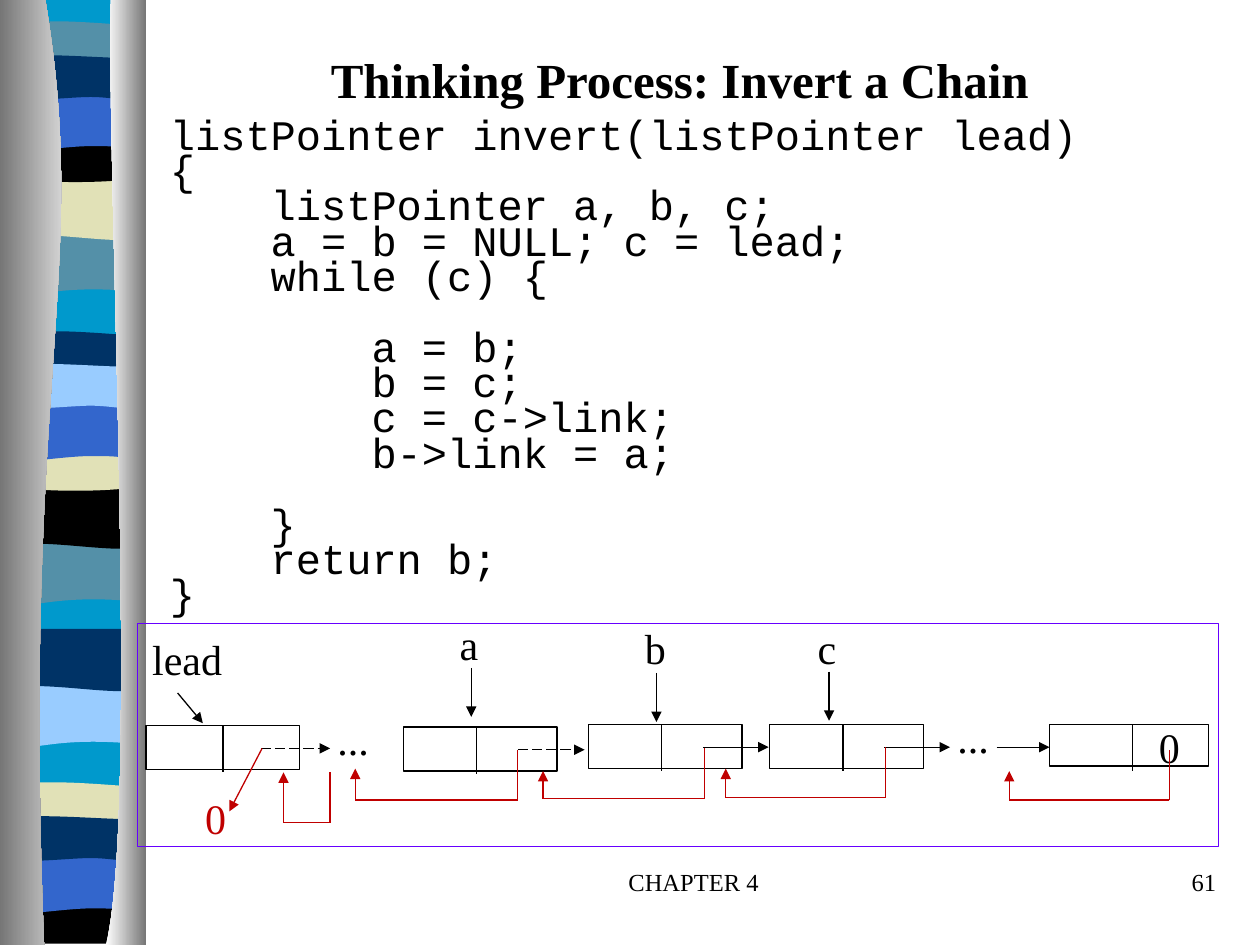
from pptx import Presentation
from pptx.dml.color import RGBColor as RGB
from pptx.enum.dml import MSO_LINE_DASH_STYLE as DASH
from pptx.enum.shapes import MSO_CONNECTOR as CONN, MSO_SHAPE as SHAPE
from pptx.enum.text import MSO_ANCHOR as ANCHOR, MSO_AUTO_SIZE as AUTO, PP_ALIGN as ALIGN
from pptx.oxml.ns import qn
from pptx.util import Inches, Pt
from lxml.etree import SubElement

W, H = 10, 7.5
L, R = 0.05, 1.14
BLACK, RED, GRAY, WHITE = "000000", "C00000", "767676", "FFFFFF"
SERIF, MONO = "Times New Roman", "Courier New"
SKY, TEAL, NAVY, BLUE, SAND, PALE = "0099CC", "5490A8", "003366", "3366CC", "E1E1B7", "99CCFF"
WAVES = {
    "swell": [[(R, 0)], [(R, 0.47)], [(0.39, 0.39), (0.24, 0.55), (L, 0.47)], [(L, 0)]],
    "slope": [[(R, 0)], [(R, 0.47)], [(0.96, 0.55), (0.39, 0.41), (L, 0.47)], [(L, 0)]],
    "lens": [[(R, 0.05)], [(R, 0.29)], [(0.96, 0.33), (0.24, 0.33), (L, 0.29)], [(L, 0.05)],
             [(0.12, 0), (0.29, 0.01), (0.47, 0.01)], [(0.65, 0.01), (1, 0.04), (R, 0.05)]],
    "bowl": [[(R, 0)], [(R, 0.32)], [(0.96, 0.38), (0.24, 0.38), (L, 0.32)], [(L, 0)],
             [(0.72, 0.05), (0.91, 0), (R, 0)]],
    "arch": [[(R, 0)], [(R, 0.47)], [(0.97, 0.42), (0.9, 0.42), (0.72, 0.42)],
             [(0.54, 0.42), (0.22, 0.47), (L, 0.47)], [(L, 0)]],
    "ripple": [[(R, 0.05)], [(R, 0.36)], [(1.07, 0.41), (0.9, 0.36), (0.72, 0.36)],
               [(0.54, 0.36), (0.17, 0.41), (L, 0.36)], [(L, 0.05)],
               [(0.21, 0), (0.79, 0.05), (0.97, 0.05)]],
    "base": [[(R, 0)], [(R, 7.47)], [(L, 7.47)], [(L, 0)]],
    "foot": [[(R, 0)], [(R, 0.37)], [(L, 0.37)], [(L, 0)], [(0.71, 0.05), (0.9, 0), (R, 0)]],
}
BANDS = [
    ("base", 0, SKY), ("swell", 1.85, TEAL), ("slope", 1.41, SAND), ("lens", 0.16, TEAL),
    ("bowl", 1.08, BLACK), ("arch", 0.74, BLUE), ("ripple", 0.41, NAVY), ("swell", 4.31, TEAL),
    ("slope", 3.86, BLACK), ("lens", 2.62, NAVY), ("bowl", 3.53, SAND), ("arch", 3.2, BLUE),
    ("ripple", 2.86, PALE), ("swell", 5.44, PALE), ("slope", 4.99 - 0.09, NAVY), ("lens", 6.2, SAND),
    ("foot", 7.12, BLACK), ("arch", 6.79, BLUE), ("ripple", 6.45, NAVY),
]
BANDS[14] = ("slope", 4.99, NAVY)
CODE = [
    (0, "listPointer invert(listPointer lead)", 0), (0, "{", 0),
    (1, "listPointer a, b, c;", 0), (1, "a = b = NULL; c = lead;", 0),
    (1, "while (c) {", 0), (2, "a = b;", 1), (2, "b = c;", 0),
    (2, "c = c->link;", 0), (2, "b->link = a;", 0), (1, "}", 1),
    (1, "return b;", 0), (0, "}", 0),
]


def color(value):
    """Turn a hex string into a colour."""
    return RGB.from_string(value)


def outline(slide, parts, dy=0):
    """Draw a closed outline whose three-point parts are curves."""
    points = [(Inches(x), Inches(y + dy)) for part in parts for x, y in part]
    fb = slide.shapes.build_freeform(*points[0])
    fb.add_line_segments(points[1:], close=True)
    sp = fb.convert_to_shape()
    steps = list(sp._element.iter(qn("a:lnTo")))
    for part in parts[1:]:
        group, steps = steps[:len(part)], steps[len(part):]
        if len(part) == 3:
            group[0].addprevious(curve := group[0].makeelement(qn("a:cubicBezTo")))
            for step in group:
                curve.append(step[0])
                step.getparent().remove(step)
    sp.shadow.inherit = False
    sp.line.fill.background()
    return sp


def band(slide, wave, y, fill):
    """Draw one ribbon band."""
    sp = outline(slide, WAVES[wave], y)
    sp.fill.solid()
    sp.fill.fore_color.rgb = color(fill)


def panel(slide, start, bend, side, shades):
    """Draw a shaded panel between a curve and a straight side."""
    sp = outline(slide, [[(start, 0)], bend, [(side, H)], [(side, 0)]])
    sp.fill.gradient()
    sp.fill.gradient_angle = 0
    for stop, value in zip(sp.fill.gradient_stops, shades):
        stop.color.rgb = color(value)


def text(slide, box, lines, fmt=None, para=None, wrap=True, anchor=ANCHOR.TOP):
    """Write (level, words, gap) lines in a text box."""
    tf = slide.shapes.add_textbox(*map(Inches, box)).text_frame
    tf.word_wrap, tf.vertical_anchor = wrap, anchor
    if not wrap:
        tf.auto_size = AUTO.SHAPE_TO_FIT_TEXT
    font = {"name": SERIF, "size": Pt(24), **(fmt or {})}
    rgb = font.pop("rgb", BLACK)
    for i, (level, words, gap) in enumerate(lines):
        p = tf.add_paragraph() if i else tf.paragraphs[0]
        for key, value in (para or {}).items():
            setattr(p, key, value)
        if level:
            p._p.get_or_add_pPr().set("marL", str(Inches(0.8 * level)))
        if gap:
            p.space_before = Pt(20.4 * gap)
        r = p.add_run()
        r.text = words
        r.font.color.rgb = color(rgb)
        for key, value in font.items():
            setattr(r.font, key, value)


def label(slide, x, y, w, words, rgb=BLACK):
    """Write a short diagram label."""
    text(slide, (x, y, w, 0.5), [(0, words, 0)], {"rgb": rgb}, wrap=False)


def line(slide, start, end, rgb=BLACK, arrow=False, dash=None):
    """Draw a thin straight line or arrow."""
    cn = slide.shapes.add_connector(CONN.STRAIGHT, *map(Inches, start + end))
    cn.line.color.rgb, cn.line.width = color(rgb), Pt(0.75)
    if dash:
        cn.line.dash_style = dash
    if arrow:
        SubElement(cn.line._get_or_add_ln(), qn("a:tailEnd"), type="triangle")
    SubElement(cn._element.spPr, qn("a:effectLst"))


def frame(slide, box, rgb=BLACK):
    """Draw an unfilled rectangle."""
    sp = slide.shapes.add_shape(SHAPE.RECTANGLE, *map(Inches, box))
    sp.shadow.inherit = False
    sp.fill.background()
    sp.line.color.rgb, sp.line.width = color(rgb), Pt(0.75)


def node(slide, x, y, w=1.22, h=0.35, split=0.58):
    """Draw a list node with data and link fields."""
    frame(slide, (x, y, w, h))
    line(slide, (x + split, y), (x + split, y + 0.37))


def back_link(slide, right, left, start, base, tip):
    """Draw a reversed link as a three-part red arrow."""
    line(slide, (left, base), (left, tip), RED, True)
    line(slide, (right, base), (left, base), RED)
    line(slide, (right, base), (right, start), RED)


def ribbon(slide):
    """Draw the side decoration."""
    for values in BANDS:
        band(slide, *values)
    panel(slide, 0.36, [(0.72, 2.16), (0.17, 2.96), (0.35, H)], 0, (GRAY, WHITE))
    panel(slide, 0.88, [(0.84, 1.25), (1.11, 6.46), (0.84, H)], 1.16, (WHITE, GRAY))


def diagram(slide):
    """Draw the chain with its pointers and reversed links."""
    frame(slide, (1.09, 4.95, 8.58, 1.77), "6600FF")
    node(slide, 1.16, 5.76, split=0.61)
    for x, y in ((3.2, 5.77), (4.67, 5.75), (6.11, 5.75)):
        node(slide, x, y)
    node(slide, 8.33, 5.75, w=1.26, h=0.33, split=0.66)
    for values in ((1.11, 4.98, 0.76, "lead"), (3.55, 4.86, 0.35, "a"), (5.02, 4.89, 0.37, "b"),
                   (6.39, 4.89, 0.35, "c"), (2.58, 5.61, 0.45, "..."), (7.5, 5.6, 0.45, "..."),
                   (9.1, 5.68, 0.37, "0"), (1.53, 6.24, 0.37, "0", RED)):
        label(slide, *values)
    for x, y in ((3.74, 5.3), (5.21, 5.34), (6.58, 5.33)):
        line(slide, (x, y), (x, y + 0.39), arrow=True)
    line(slide, (1.41, 5.5), (1.61, 5.74), arrow=True)
    for left, right, y, dash in ((2.07, 2.62, 5.94, DASH.LONG_DASH), (4.11, 4.64, 5.95, DASH.LONG_DASH),
                                 (5.58, 6.1, 5.93, None), (7.02, 7.54, 5.93, None), (7.91, 8.33, 5.93, None)):
        line(slide, (left, y), (right, y), arrow=True, dash=dash)
    for link in ((2.62, 2.25, 6.13, 6.53, 6.13), (4.11, 2.82, 5.95, 6.35, 6.1), (5.59, 4.31, 5.94, 6.34, 6.12),
                 (7.03, 5.76, 5.93, 6.33, 6.1), (9.28, 8.01, 5.95, 6.35, 6.12)):
        back_link(slide, *link)
    line(slide, (2.08, 5.94), (1.82, 6.44), RED, True)


def main():
    """Build and save the slide."""
    prs = Presentation()
    prs.slide_width, prs.slide_height = Inches(W), Inches(H)
    slide = prs.slides.add_slide(prs.slide_layouts[6])
    ribbon(slide)
    for x, w, words, align in ((3.92, 3.17, "CHAPTER 4", ALIGN.CENTER), (7.67, 2.08, "61", ALIGN.RIGHT)):
        text(slide, (x, 6.83, w, 0.5), [(0, words, 0)], {"size": Pt(14)},
             {"alignment": align, "space_before": Pt(7)})
    text(slide, (0.79, 0, 9.21, 1.25), [(0, "Thinking Process: Invert a Chain", 0)],
         {"size": Pt(28), "bold": True}, {"alignment": ALIGN.CENTER}, anchor=ANCHOR.MIDDLE)
    text(slide, (1.25, 0.92, 8.42, 4.5), CODE, {"name": MONO}, {"line_spacing": 0.7})
    diagram(slide)
    prs.save("out.pptx")


if __name__ == "__main__":
    main()
